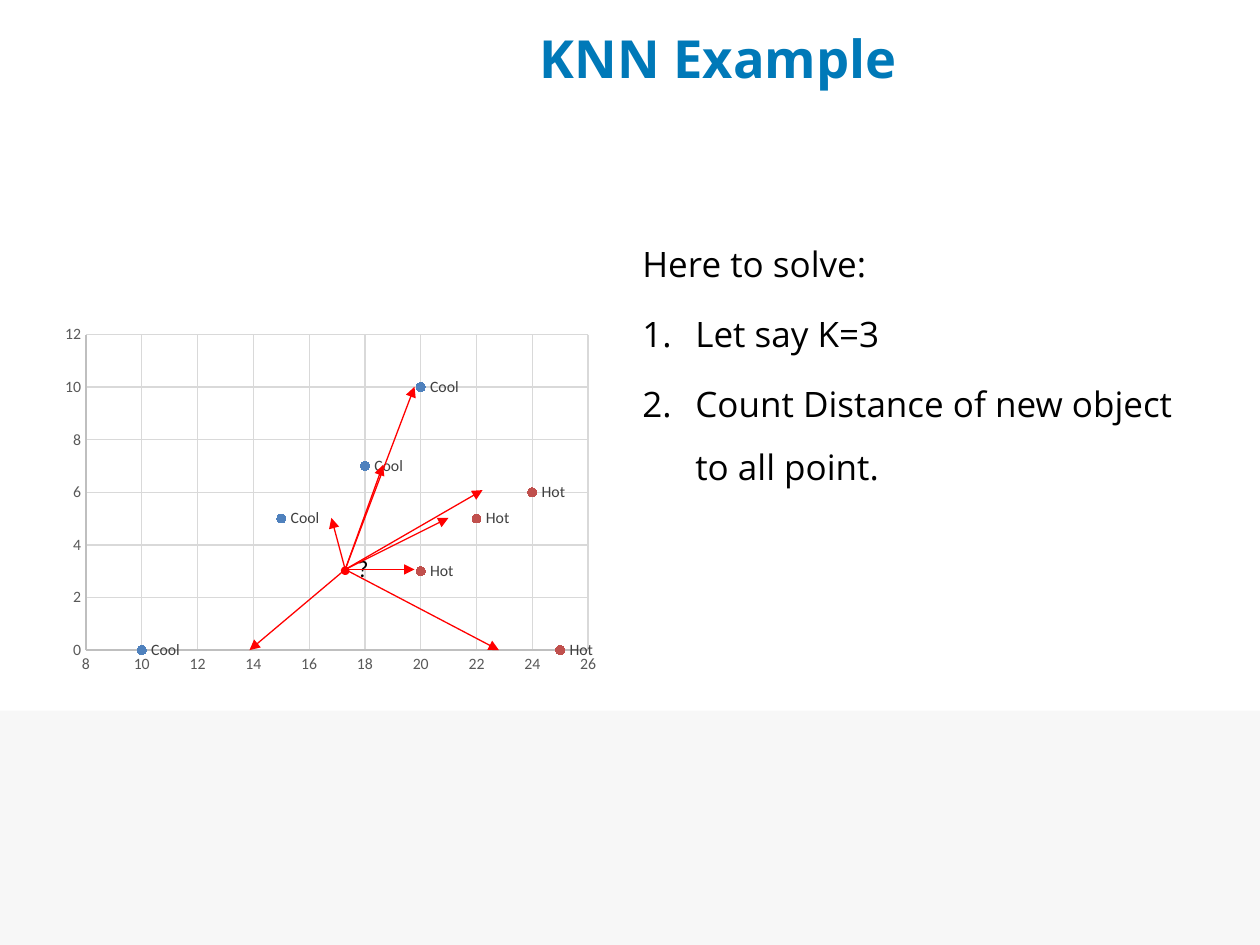
import pptx
import pptx.chart.data
import pptx.chart.datalabel
import pptx.dml.color
import pptx.enum.chart
import pptx.enum.shapes
import pptx.enum.text
import pptx.oxml
import pptx.oxml.ns
import pptx.util
from lxml import etree

Pt = pptx.util.Pt
RGBColor = pptx.dml.color.RGBColor

BLUE = RGBColor(0x00, 0x79, 0xB8)
BLACK = RGBColor(0x00, 0x00, 0x00)
RED = RGBColor(0xFF, 0x00, 0x00)
BAND_GREY = RGBColor(0xF7, 0xF7, 0xF7)
AXIS_GREY = RGBColor(0xBF, 0xBF, 0xBF)
GRID_GREY = RGBColor(0xD9, 0xD9, 0xD9)
TICK_GREY = RGBColor(0x59, 0x59, 0x59)
LABEL_GREY = RGBColor(0x40, 0x40, 0x40)
COOL_BLUE = RGBColor(0x4F, 0x81, 0xBD)
HOT_RED = RGBColor(0xC0, 0x50, 0x4D)

HEADING_FONT = "Open Sans"
CHART_FONT = "Calibri"

# The slide is a grid of 100 columns and 75 rows.
CELL = pptx.util.Inches(0.1)

GROUPS = (
    ("Cool", COOL_BLUE, ((10, 0), (15, 5), (18, 7), (20, 10))),
    ("Hot", HOT_RED, ((25, 0), (20, 3), (22, 5), (24, 6))),
)
NEW_OBJECT = (27.4, 45.2)
ARROW_TIPS = (
    (19.8, 51.6), (26.3, 41.1), (32.9, 45.2), (35.6, 41.1),
    (30.4, 36.9), (38.3, 38.9), (32.9, 30.7), (39.6, 51.6),
)


def cells(*counts):
    return [round(count * CELL) for count in counts]


def style_font(font, name, size, color, bold=False):
    font.name = name
    font.size = Pt(size)
    font.color.rgb = color
    font.bold = bold


def style_line(line, color, width):
    line.color.rgb = color
    line.width = Pt(width)


def add_plain_shape(page, kind, area, fill):
    shape = page.shapes.add_shape(kind, *cells(*area))
    shape.shadow.inherit = False
    shape.fill.solid()
    shape.fill.fore_color.rgb = fill
    shape.line.fill.background()
    return shape


def set_title(page, text):
    title = page.shapes.title
    title.left, title.top, title.width, title.height = cells(13.9, 0.6, 86.2, 8)
    frame = title.text_frame
    frame.text = text
    frame.vertical_anchor = pptx.enum.text.MSO_ANCHOR.MIDDLE
    para = frame.paragraphs[0]
    para.alignment = pptx.enum.text.PP_ALIGN.CENTER
    style_font(para.runs[0].font, HEADING_FONT, 30, BLUE, bold=True)


def add_text(page, area, lines, font_name, size):
    box = page.shapes.add_textbox(*cells(*area))
    frame = box.text_frame
    frame.word_wrap = True
    frame.text = "\n".join(lines)
    for para in frame.paragraphs:
        style_font(para.runs[0].font, font_name, size, BLACK)
    return frame


def number_paragraph(para):
    properties = para._p.get_or_add_pPr()
    indent = pptx.util.Inches(0.42)
    properties.set("marL", str(indent))
    properties.set("indent", str(-indent))
    etree.SubElement(properties, pptx.oxml.ns.qn("a:buFont"), typeface="+mj-lt")
    etree.SubElement(properties, pptx.oxml.ns.qn("a:buAutoNum"), type="arabicPeriod")


def add_steps(page, heading, steps):
    frame = add_text(page, (50, 17.1, 44.1, 13.5), [heading, *steps], HEADING_FONT, 20)
    for para in frame.paragraphs:
        para.line_spacing = 1.5
        para.space_before = Pt(4)
    for para in frame.paragraphs[1:]:
        number_paragraph(para)


def style_axis(axis, low, high):
    axis.minimum_scale, axis.maximum_scale, axis.major_unit = low, high, 2
    axis.major_tick_mark = axis.minor_tick_mark = pptx.enum.chart.XL_TICK_MARK.NONE
    axis.has_major_gridlines = True
    style_line(axis.major_gridlines.format.line, GRID_GREY, 0.75)
    style_line(axis.format.line, AXIS_GREY, 0.75)
    style_font(axis.tick_labels.font, CHART_FONT, 9, TICK_GREY)
    axis.tick_labels.number_format = "General"
    axis.tick_labels.number_format_is_linked = False


def style_series(series, color):
    series.format.line.fill.background()
    series.marker.style = pptx.enum.chart.XL_MARKER_STYLE.CIRCLE
    series.marker.size = 5
    series.marker.format.fill.solid()
    series.marker.format.fill.fore_color.rgb = color
    style_line(series.marker.format.line, color, 0.75)
    labels = pptx.chart.datalabel.DataLabels(series._element.get_or_add_dLbls())
    labels.show_series_name = True
    labels.show_value = False
    labels.position = pptx.enum.chart.XL_LABEL_POSITION.RIGHT
    style_font(labels.font, CHART_FONT, 9, LABEL_GREY)


def fix_plot_area(chart, **shares):
    """Place the inner plot area, given as shares of the chart's size."""
    places = "".join(f'<c:{key} val="{share}"/>' for key, share in shares.items())
    layout = pptx.oxml.parse_xml(
        f'<c:layout {pptx.oxml.ns.nsdecls("c")}><c:manualLayout>'
        '<c:layoutTarget val="inner"/><c:xMode val="edge"/><c:yMode val="edge"/>'
        f"{places}</c:manualLayout></c:layout>"
    )
    plot_area = chart._chartSpace.chart.plotArea
    for old in plot_area.findall(pptx.oxml.ns.qn("c:layout")):
        plot_area.remove(old)
    plot_area.insert(0, layout)


def add_scatter(page):
    data = pptx.chart.data.XyChartData()
    for name, _, points in GROUPS:
        group = data.add_series(name)
        for x, y in points:
            group.add_data_point(x, y)
    kind = pptx.enum.chart.XL_CHART_TYPE.XY_SCATTER
    chart = page.shapes.add_chart(kind, *cells(4.2, 25.4, 43.8, 28.8), data).chart
    chart.has_title = chart.has_legend = False
    style_font(chart.font, CHART_FONT, 10, BLACK)
    chart.plots[0].vary_by_categories = False
    style_axis(chart.category_axis, 8, 26)
    style_axis(chart.value_axis, 0, 12)
    for series, (_, color, _) in zip(chart.plots[0].series, GROUPS):
        style_series(series, color)
    fix_plot_area(chart, x=0.06, y=0.04, w=0.91, h=0.87)


def add_arrow(page, start, tip):
    straight = pptx.enum.shapes.MSO_CONNECTOR.STRAIGHT
    arrow = page.shapes.add_connector(straight, *cells(*start, *tip))
    style_line(arrow.line, RED, 0.75)
    etree.SubElement(arrow.line._get_or_add_ln(), pptx.oxml.ns.qn("a:tailEnd"), type="triangle")
    etree.SubElement(arrow._element.spPr, pptx.oxml.ns.qn("a:effectLst"))


def main():
    deck = pptx.Presentation()
    deck.slide_width, deck.slide_height = cells(100, 75)
    page = deck.slides.add_slide(deck.slide_layouts[5])
    shapes = pptx.enum.shapes.MSO_SHAPE
    add_plain_shape(page, shapes.RECTANGLE, (0, 56.4, 100, 18.6), BAND_GREY)
    set_title(page, "KNN Example")
    add_steps(page, "Here to solve:",
              ["Let say K=3", "Count Distance of new object to all point."])
    add_scatter(page)
    dot = add_plain_shape(page, shapes.OVAL, (27.2, 45.1, 0.4, 0.4), RED)
    style_line(dot.line, RED, 2)
    add_text(page, (27.4, 43.5, 2.9, 3.3), ["?"], CHART_FONT, 13.5)
    for tip in ARROW_TIPS:
        add_arrow(page, NEW_OBJECT, tip)
    deck.save("out.pptx")


if __name__ == "__main__":
    main()
